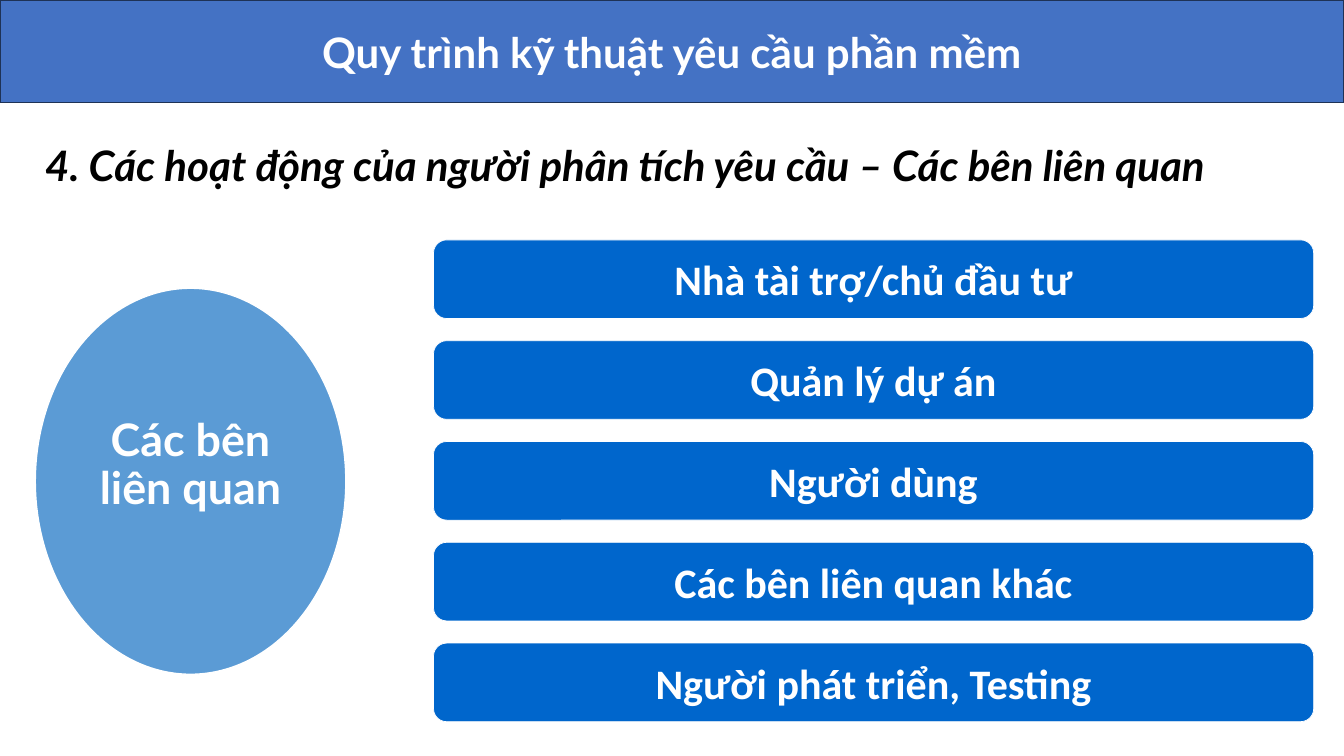
import pptx
import pptx.util
import pptx.dml.color
import pptx.enum.shapes
import pptx.enum.text

Inches = pptx.util.Inches
Pt = pptx.util.Pt
RGBColor = pptx.dml.color.RGBColor
MSO_SHAPE = pptx.enum.shapes.MSO_SHAPE
MSO_ANCHOR = pptx.enum.text.MSO_ANCHOR
PP_ALIGN = pptx.enum.text.PP_ALIGN

WHITE = RGBColor(0xFF, 0xFF, 0xFF)
BLACK = RGBColor(0x00, 0x00, 0x00)
BANNER_BLUE = RGBColor(0x44, 0x72, 0xC4)
BANNER_EDGE = RGBColor(0x1E, 0x32, 0x56)
OVAL_BLUE = RGBColor(0x5B, 0x9B, 0xD5)
BAR_BLUE = RGBColor(0x00, 0x66, 0xCC)

BANNER_FONT = {"name": "Lato", "size": Pt(30), "bold": True}
HEADING_FONT = {**BANNER_FONT, "italic": True}
OVAL_FONT = {**BANNER_FONT, "size": Pt(32)}
BAR_FONT = {**BANNER_FONT, "name": "Calibri"}

STAKEHOLDERS = [
    "Nhà tài trợ/chủ đầu tư",
    "Quản lý dự án",
    "Người dùng",
    "Các bên liên quan khác",
    "Người phát triển, Testing",
]


def set_text(sp, text, font, color=WHITE, align=PP_ALIGN.CENTER,
             anchor=MSO_ANCHOR.MIDDLE):
    tf = sp.text_frame
    tf.word_wrap = True
    tf.vertical_anchor = anchor
    p = tf.paragraphs[0]
    p.alignment = align
    r = p.add_run()
    r.text = text
    for key, value in font.items():
        setattr(r.font, key, value)
    r.font.color.rgb = color
    return p


def add_filled(s, kind, box, fill, line, width):
    sp = s.shapes.add_shape(kind, *map(Inches, box))
    sp.shadow.inherit = False
    sp.fill.solid()
    sp.fill.fore_color.rgb = fill
    sp.line.color.rgb = line
    sp.line.width = Pt(width)
    return sp


def add_banner(s, box, text):
    sp = add_filled(s, MSO_SHAPE.RECTANGLE, box, BANNER_BLUE, BANNER_EDGE, 1)
    set_text(sp, text, BANNER_FONT)


def add_heading(s, box, text):
    sp = s.shapes.add_textbox(*map(Inches, box))
    set_text(sp, text, HEADING_FONT, BLACK, PP_ALIGN.LEFT, MSO_ANCHOR.TOP)


def add_topic_oval(s, box, text):
    left, top, width, height = box
    add_filled(s, MSO_SHAPE.OVAL, box, OVAL_BLUE, WHITE, 1)
    label = (left + 0.25, top + 0.99, width - 0.5, 1.55)
    sp = s.shapes.add_textbox(*map(Inches, label))
    p = set_text(sp, text, OVAL_FONT)
    p.line_spacing = 0.9


def add_stakeholder_bars(s, box, names, gap=0.22):
    left, top, width, height = box
    bar_height = (height - gap * (len(names) - 1)) / len(names)
    for i, name in enumerate(names):
        bar = (left, top + i * (bar_height + gap), width, bar_height)
        sp = add_filled(s, MSO_SHAPE.ROUNDED_RECTANGLE, bar, BAR_BLUE, WHITE, 0.5)
        set_text(sp, name, BAR_FONT)


def main():
    prs = pptx.Presentation()
    prs.slide_width = Inches(13.33)
    prs.slide_height = Inches(7.5)
    s = prs.slides.add_slide(prs.slide_layouts[6])
    add_topic_oval(s, (0.35, 2.86, 3.08, 3.83), "Các bên liên quan")
    add_stakeholder_bars(s, (4.3, 2.38, 8.73, 4.78), STAKEHOLDERS)
    add_banner(s, (0, 0, 13.33, 1.02), "Quy trình kỹ thuật yêu cầu phần mềm")
    add_heading(s, (0.35, 1.33, 12.98, 1.11),
                "4. Các hoạt động của người phân tích yêu cầu – Các bên liên quan")
    prs.save("out.pptx")


if __name__ == "__main__":
    main()
